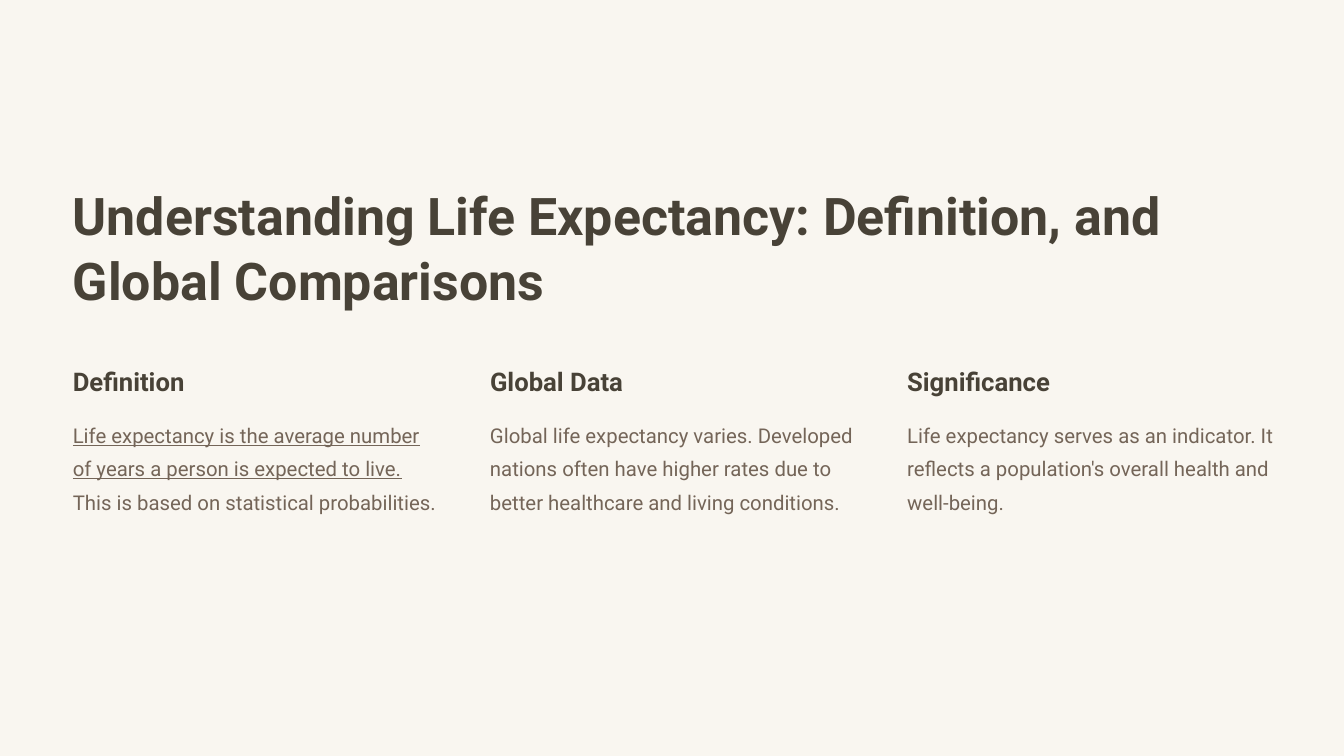
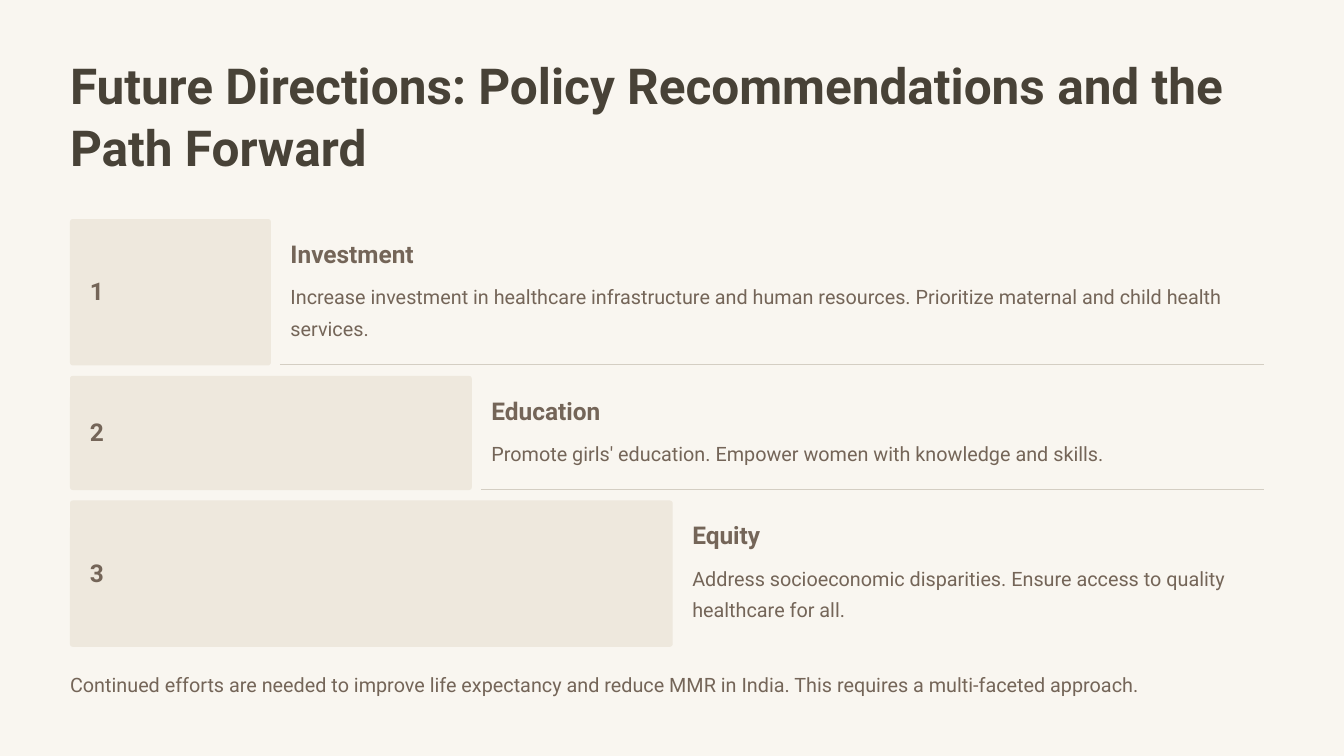
from dataclasses import dataclass
from typing import NamedTuple

from lxml.etree import SubElement
from pptx import Presentation
from pptx.dml.color import RGBColor as RGB
from pptx.enum.shapes import MSO_CONNECTOR as CONN, MSO_SHAPE as SHAPE
from pptx.enum.text import MSO_ANCHOR as ANCHOR, MSO_AUTO_SIZE as AUTO, PP_ALIGN as ALIGN
from pptx.oxml.ns import qn
from pptx.util import Emu, Pt

PX = 9525
FONT = "Roboto"
COLORS = {
    "backdrop": "DDCFBB",
    "page": "F9F6F0",
    "dark": "484237",
    "brown": "746558",
    "bar": "EEE8DD",
    "rule": "D4CEC3",
}


class Box(NamedTuple):
    x: int
    y: int
    w: int
    h: int


class Run(NamedTuple):
    text: str
    underline: bool = False


@dataclass(frozen=True)
class Style:
    size: float
    leading: float
    color: str
    bold: bool = False
    align: ALIGN = ALIGN.LEFT


@dataclass(frozen=True)
class Column:
    heading: str
    runs: list[Run]
    body_h: int


@dataclass(frozen=True)
class Step:
    heading: str
    body: str
    bar_h: int
    body_w: int
    body_h: int


PAGE = Box(0, 0, 1920, 1080)

COLUMN_TITLE = Style(55.6, 69.4, "dark", True)
COLUMN_HEADING = Style(27.5, 34.4, "dark", True)
COLUMN_BODY = Style(21.8, 35.6, "brown")
STEP_TITLE = Style(53.1, 66.2, "dark", True)
STEP_NUMBER = Style(26.2, 42.5, "brown", True, ALIGN.CENTER)
STEP_HEADING = Style(26.2, 33.1, "brown", True)
STEP_BODY = Style(21.2, 33.7, "brown")

COLUMNS = [
    Column("Definition", [
        Run("Life expectancy is the average number of years a person is expected to live.", True),
        Run(" This is based on statistical probabilities."),
    ], 199),
    Column("Global Data", [
        Run("Global life expectancy varies. Developed nations often have higher rates "
            "due to better healthcare and living conditions."),
    ], 199),
    Column("Significance", [
        Run("Life expectancy serves as an indicator. It reflects a population's "
            "overall health and well-being."),
    ], 151),
]

STEPS = [
    Step("Investment",
         "Increase investment in healthcare infrastructure and human resources. "
         "Prioritize maternal and child health services.", 209, 1378, 98),
    Step("Education",
         "Promote girls' education. Empower women with knowledge and skills.", 163, 879, 52),
    Step("Equity",
         "Address socioeconomic disparities. Ensure access to quality healthcare for all.",
         209, 804, 98),
]


def px(n: float) -> Emu:
    return Emu(round(n * PX))


def color(name: str) -> RGB:
    return RGB.from_string(COLORS[name])


def write(sp, runs: list[Run], style: Style) -> None:
    tf = sp.text_frame
    tf.margin_left = tf.margin_top = tf.margin_right = tf.margin_bottom = 0
    tf.word_wrap = True
    tf.auto_size = AUTO.NONE
    tf.vertical_anchor = ANCHOR.TOP
    p = tf.paragraphs[0]
    p.alignment = style.align
    p.line_spacing = Pt(style.leading)
    for run in runs:
        r = p.add_run()
        r.text = run.text
        r.font.name = FONT
        r.font.size = Pt(style.size)
        r.font.bold = style.bold
        r.font.underline = run.underline
        r.font.color.rgb = color(style.color)


def add_text(s, box: Box, runs: list[Run], style: Style) -> None:
    write(s.shapes.add_textbox(*map(px, box)), runs, style)


def add_block(s, kind: SHAPE, box: Box, fill: str):
    sp = s.shapes.add_shape(kind, *map(px, box))
    sp.shadow.inherit = False
    sp.fill.solid()
    sp.fill.fore_color.rgb = color(fill)
    sp.line.fill.background()
    return sp


def add_titled_slide(prs, title: str, box: Box, style: Style):
    s = prs.slides.add_slide(prs.slide_layouts[5])
    sp = s.shapes.title
    page = add_block(s, SHAPE.RECTANGLE, PAGE, "page")
    sp._element.addprevious(page._element)
    sp.left, sp.top, sp.width, sp.height = map(px, box)
    write(sp, [Run(title)], style)
    return s


def add_bar(s, box: Box, radius: int = 4) -> None:
    sp = add_block(s, SHAPE.ROUNDED_RECTANGLE, box, "bar")
    sp.adjustments[0] = radius / min(box.w, box.h)


def add_rule(s, x1: int, x2: int, y: int) -> None:
    line = s.shapes.add_connector(CONN.STRAIGHT, px(x1), px(y), px(x2), px(y))
    line.line.color.rgb = color("rule")
    line.line.width = px(2)
    SubElement(line._element.spPr, qn("a:effectLst"))


def build_definition(prs) -> None:
    left, pitch = 104, 596
    s = add_titled_slide(prs, "Understanding Life Expectancy: Definition, and Global Comparisons",
                         Box(left, 259, 1712, 215), COLUMN_TITLE)
    for i, column in enumerate(COLUMNS):
        x = left + i * pitch
        add_text(s, Box(x, 521, 372, 50), [Run(column.heading)], COLUMN_HEADING)
        add_text(s, Box(x, 592, 524, column.body_h), column.runs, COLUMN_BODY)


def build_directions(prs) -> None:
    left, right, bar_step, gap = 100, 1806, 287, 15
    s = add_titled_slide(prs, "Future Directions: Policy Recommendations and the Path Forward",
                         Box(left, 75, 1721, 181), STEP_TITLE)
    y = 313
    for n, step in enumerate(STEPS, 1):
        bar = Box(left, y, n * bar_step, step.bar_h)
        bar_right, bottom = left + bar.w, y + bar.h
        text_x = bar_right + 28
        add_bar(s, bar)
        add_text(s, Box(left + 28, y + bar.h // 2 - 37, 21, 66), [Run(str(n))], STEP_NUMBER)
        add_text(s, Box(text_x, y + 26, 355, 47), [Run(step.heading)], STEP_HEADING)
        add_text(s, Box(text_x, y + 83, step.body_w, step.body_h), [Run(step.body)], STEP_BODY)
        if n < len(STEPS):
            add_rule(s, bar_right + 13, right, bottom - 1)
        y = bottom + gap
    add_text(s, Box(left, 950, 1721, 52),
             [Run("Continued efforts are needed to improve life expectancy and reduce MMR "
                  "in India. This requires a multi-faceted approach.")], STEP_BODY)


def main() -> None:
    prs = Presentation()
    prs.slide_width, prs.slide_height = px(PAGE.w), px(PAGE.h)
    fill = prs.slide_master.background.fill
    fill.solid()
    fill.fore_color.rgb = color("backdrop")
    build_definition(prs)
    build_directions(prs)
    prs.save("out.pptx")


if __name__ == "__main__":
    main()
